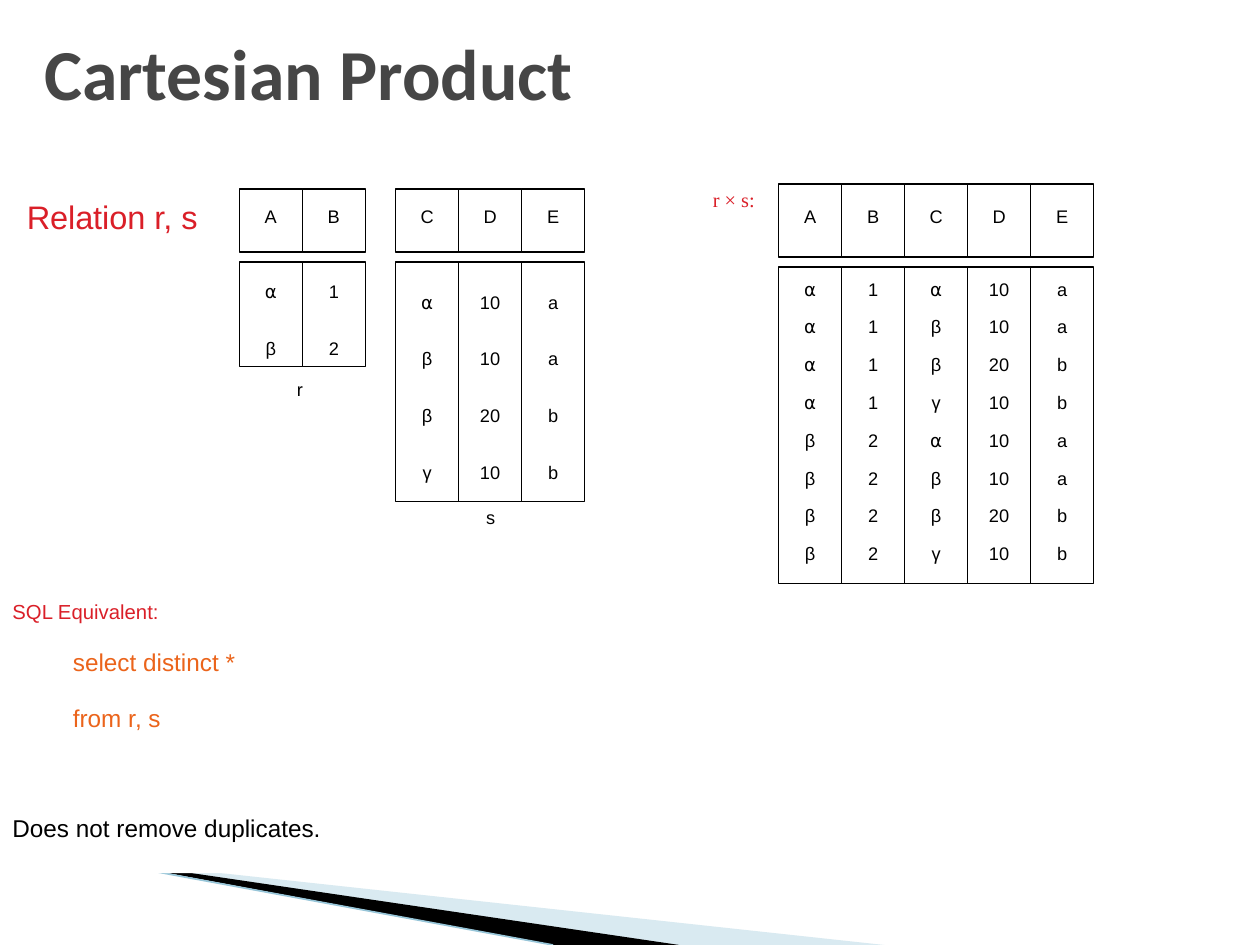
from pptx import Presentation
from pptx.util import Inches, Pt
from pptx.dml.color import RGBColor
from pptx.enum.shapes import MSO_CONNECTOR, MSO_SHAPE
from pptx.enum.text import MSO_ANCHOR, PP_ALIGN
from pptx.oxml.ns import qn
from lxml.etree import SubElement

INK = {"black": "000000", "white": "FFFFFF", "gray": "464646", "red": "DA1F28",
       "orange": "EB641B", "pale": "A0CBDC", "blue": "97C5D8"}
INK = {name: RGBColor.from_string(code) for name, code in INK.items()}


def write(shape, lines, size=18, ink="black", face="Arial", align=PP_ALIGN.CENTER, space=None):
    """Fill a shape with raised paragraphs and return them."""
    frame = shape.text_frame
    frame.word_wrap = False
    frame.vertical_anchor = MSO_ANCHOR.MIDDLE
    frame.text = "\n".join(lines)
    for para in frame.paragraphs:
        para.alignment = align
        para.line_spacing = space
        font = para.font
        font.size, font.name = Pt(size), face
        font.color.rgb = INK[ink]
        font._element.set("baseline", "30000")
    return frame.paragraphs


def box(left, top, width, height, line=True):
    """Add a plain white rectangle."""
    rect = shapes.add_shape(MSO_SHAPE.RECTANGLE, Inches(left), Inches(top),
                            Inches(width), Inches(height))
    rect.shadow.inherit = False
    rect.fill.solid()
    rect.fill.fore_color.rgb = INK["white"]
    if line:
        rect.line.color.rgb = INK["black"]
        rect.line.width = Pt(0.75)
    else:
        rect.line.fill.background()
    return rect


deck = Presentation()
deck.slide_width, deck.slide_height = Inches(10), Inches(7.5)
slide = deck.slides.add_slide(deck.slide_layouts[5])
shapes = slide.shapes

# Title
title = shapes.title
title.left, title.top = Inches(0.25), Inches(0.17)
title.width, title.height = Inches(9.25), Inches(0.8)
title.text_frame.text = "Cartesian Product"
title.text_frame.vertical_anchor = MSO_ANCHOR.MIDDLE
head = title.text_frame.paragraphs[0]
head.alignment = PP_ALIGN.LEFT
head.font.size, head.font.name, head.font.bold = Pt(41), "Calibri", True
head.font.color.rgb = INK["gray"]

# Wedges along the foot
wedges = [
    ("pale", [(0.65, 6.81), (7.02, 7.5), (5.38, 7.5)]),
    ("black", [(0.64, 6.8), (5.39, 7.5), (4.39, 7.5)]),
]
for ink, spots in wedges:
    spots = [(Inches(x), Inches(y)) for x, y in spots]
    path = shapes.build_freeform(*spots[0])
    path.add_line_segments(spots[1:], close=True)
    wedge = path.convert_to_shape()
    wedge.shadow.inherit = False
    wedge.line.fill.background()
    wedge.fill.solid()
    wedge.fill.fore_color.rgb = INK[ink]
    if ink == "pale":
        color = wedge.fill._xPr.find(qn("a:solidFill"))[0]
        SubElement(color, qn("a:alpha"), val="40000")

edge = shapes.add_connector(MSO_CONNECTOR.STRAIGHT, Inches(0), Inches(6.69),
                            Inches(4.39), Inches(7.5))
edge.line.color.rgb = INK["blue"]
edge.line.width = Pt(0.95)
SubElement(edge._element.spPr, qn("a:effectLst"))

# SQL text
query = box(0, 4.71, 8.32, 2.22, line=False)
lines = ["SQL Equivalent:", "select distinct *", "from r, s", "Does not remove duplicates."]
paras = write(query, lines, 24, align=PP_ALIGN.LEFT, space=0.9)
query.text_frame.word_wrap = True
query.text_frame.vertical_anchor = MSO_ANCHOR.TOP
paras[0].font.size = Pt(20)
paras[0].font.color.rgb = INK["red"]
for para in paras[1:3]:
    para.font.color.rgb = INK["orange"]
    para.space_before = Pt(6)
    para._p.get_or_add_pPr().set("marL", str(Inches(0.48)))
paras[3].space_before = Pt(37)

# Labels: text, left, top, width, height, size, ink, face, align
labels = [
    ("Relation r, s", 0, 1.55, 1.78, 0.46, 32, "red", "Arial", PP_ALIGN.CENTER),
    ("r × s:", 4.86, 1.44, 1.23, 0.36, 20, "red", "Times New Roman", PP_ALIGN.RIGHT),
    ("r", 2.24, 2.92, 0.28, 0.4, 18, "black", "Arial", PP_ALIGN.CENTER),
    ("s", 3.73, 3.94, 0.33, 0.4, 18, "black", "Arial", PP_ALIGN.CENTER),
]
for text, left, top, width, height, *style in labels:
    label = shapes.add_textbox(Inches(left), Inches(top), Inches(width), Inches(height))
    write(label, [text], *style)

# Relations: names, rows, left, head top, head height, body top, body height, spacing
left_rows = ["⍺ 1", "β 2"]
right_rows = ["⍺ 10 a", "β 10 a", "β 20 b", "γ 10 b"]
cross = [f"{one} {two}" for one in left_rows for two in right_rows]
grids = [
    ("AB", left_rows, 1.9, 1.5, 0.5, 2.08, 0.83, 1.5),
    ("CDE", right_rows, 3.14, 1.5, 0.5, 2.08, 1.9, 1.5),
    ("ABCDE", cross, 6.18, 1.46, 0.58, 2.12, 2.51, None),
]
side = 0.5
for names, rows, left, top, high, base, deep, space in grids:
    columns = zip(*(row.split() for row in rows))
    for i, (name, cells) in enumerate(zip(names, columns)):
        x = left + i * side
        write(box(x, top, side, high), [name])
        write(box(x, base, side, deep), cells, space=space)

deck.save("out.pptx")
